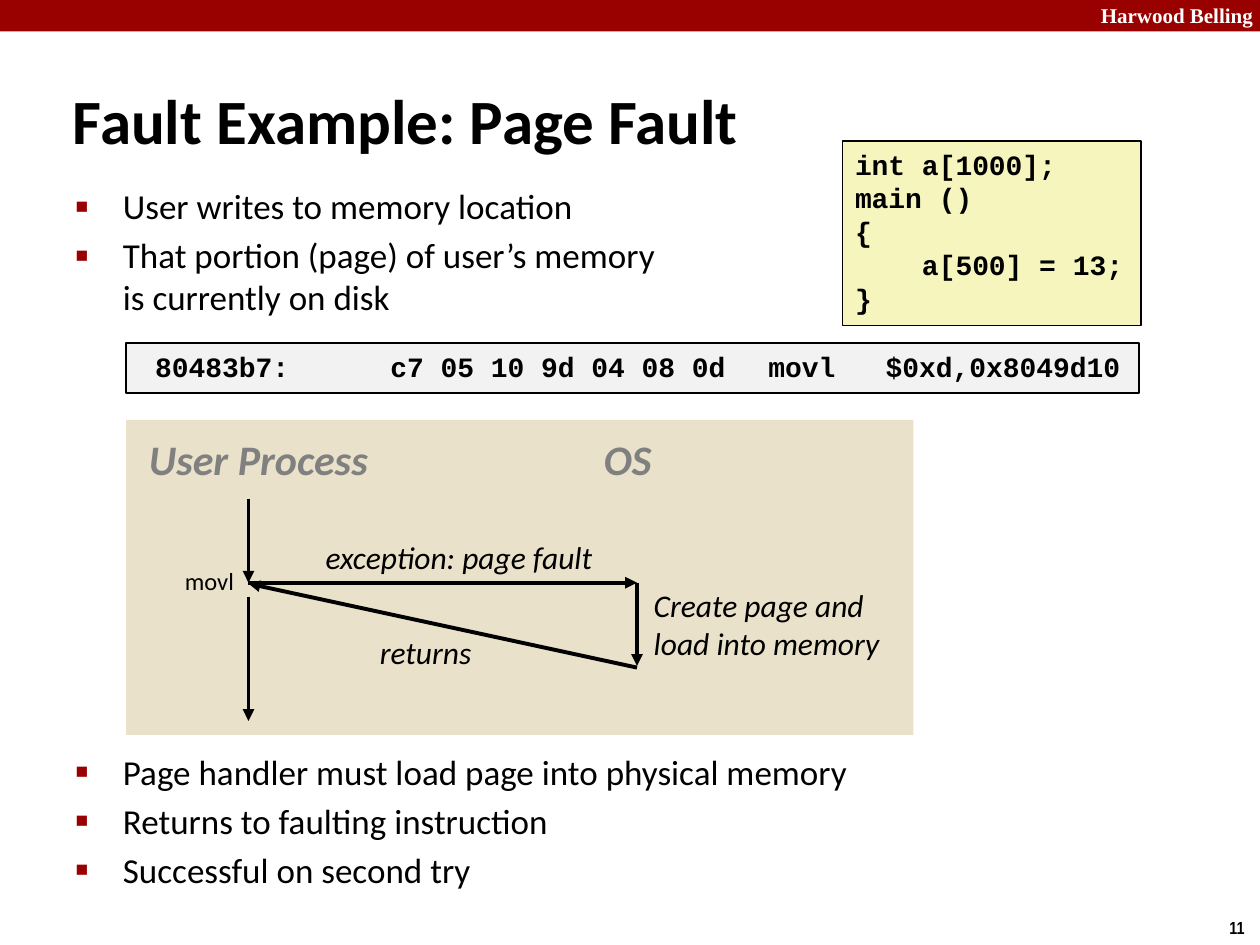
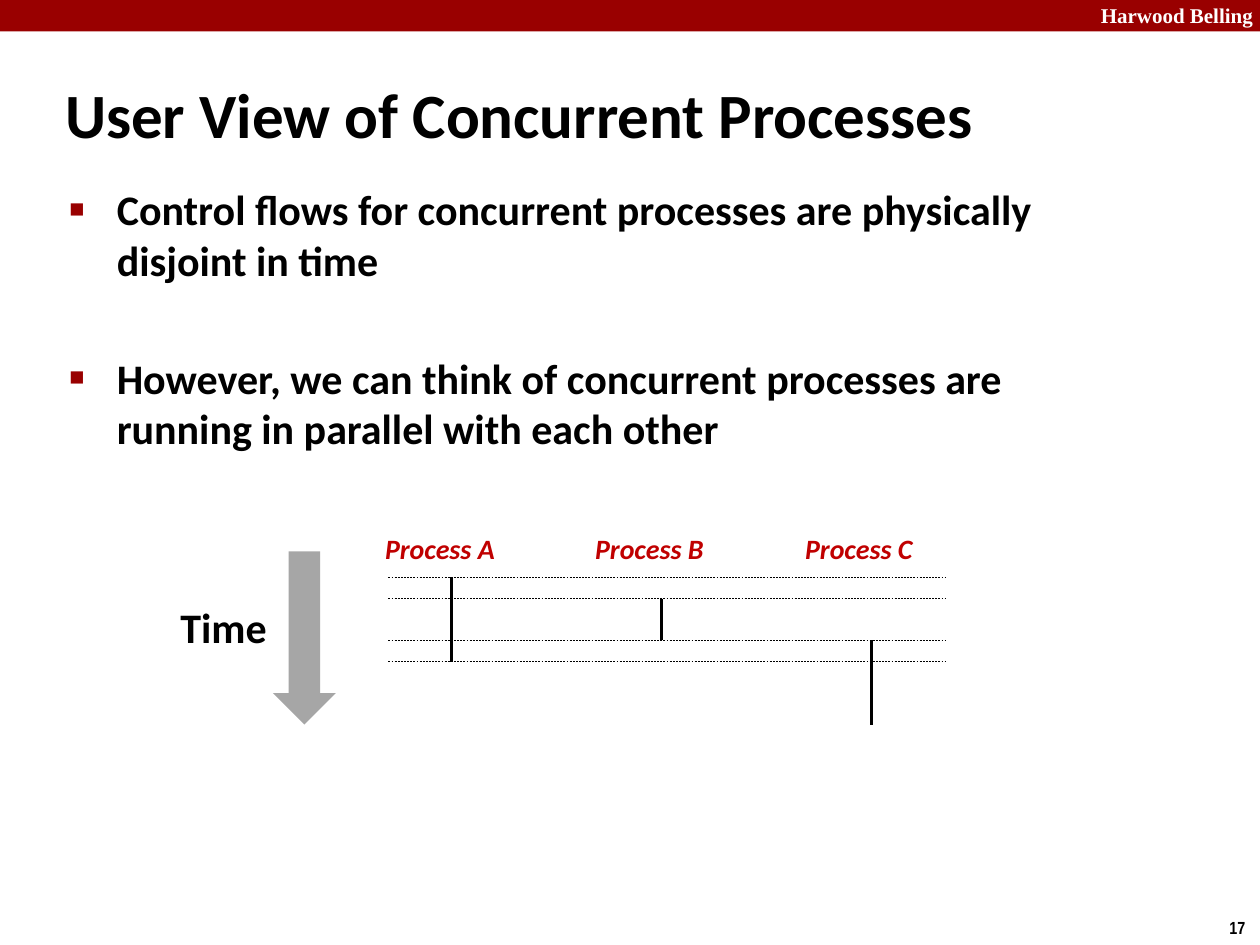
from copy import deepcopy
from itertools import product

from lxml.etree import SubElement
from pptx import Presentation
from pptx.dml.color import RGBColor
from pptx.enum.dml import MSO_LINE
from pptx.enum.shapes import MSO_CONNECTOR, MSO_SHAPE
from pptx.enum.text import MSO_ANCHOR, MSO_AUTO_SIZE, PP_ALIGN
from pptx.oxml.ns import qn
from pptx.util import Pt

COLORS = {
    "black": "000000", "white": "FFFFFF", "band": "990000", "bullet": "990000",
    "panel": "E9E1C9", "code": "F6F5BD", "assembly": "F2F2F2",
    "heading": "808080", "process": "C00000", "time": "A6A6A6",
}
BODY_FONT, CODE_FONT = "Calibri", "Courier New"
SCHOOL = "Harwood Belling"


def rgb(name):
    return RGBColor.from_string(COLORS[name])


# ---- Shared helpers ----
def write(frame, text, size=18, font=BODY_FONT, color="black", bold=False,
          italic=False, wrap=False, anchor=MSO_ANCHOR.TOP):
    """Fill a text frame, one paragraph per line; \\v breaks a line."""
    frame.word_wrap = wrap
    frame.auto_size = MSO_AUTO_SIZE.NONE
    frame.vertical_anchor = anchor
    frame.text = text
    for paragraph in frame.paragraphs:
        paragraph.alignment = PP_ALIGN.LEFT
        for run in paragraph.runs:
            run.font.size, run.font.name = Pt(size), font
            run.font.bold, run.font.italic = bold, italic
            run.font.color.rgb = rgb(color)
        for line_break in paragraph._p.findall(qn("a:br")):
            line_break.append(deepcopy(paragraph.runs[0]._r.rPr))
    return frame


def place(shape, box):
    shape.left, shape.top, shape.width, shape.height = map(Pt, box)


def add_label(slide, box, text, **text_format):
    text_box = slide.shapes.add_textbox(*map(Pt, box))
    return write(text_box.text_frame, text, **text_format)


def add_block(slide, box, fill, outlined=False, kind=MSO_SHAPE.RECTANGLE):
    shape = slide.shapes.add_shape(kind, *map(Pt, box))
    shape.shadow.inherit = False
    shape.fill.solid()
    shape.fill.fore_color.rgb = rgb(fill)
    if outlined:
        shape.line.color.rgb = rgb("black")
        shape.line.width = Pt(1)
    else:
        shape.line.fill.background()
    return shape


def add_line(slide, start, end, width, dash=None, arrow=False):
    line = slide.shapes.add_connector(MSO_CONNECTOR.STRAIGHT, *map(Pt, (*start, *end)))
    line.line.color.rgb = rgb("black")
    line.line.width = Pt(width)
    if dash:
        line.line.dash_style = dash
    if arrow:
        SubElement(line.line._get_or_add_ln(), qn("a:tailEnd"), type="triangle")
    SubElement(line._element.spPr, qn("a:effectLst"))


def indent(paragraph, left, first):
    properties = paragraph._p.get_or_add_pPr()
    properties.set("marL", str(Pt(left)))
    properties.set("indent", str(Pt(first)))
    return properties


def set_tabs(paragraph, positions):
    tab_list = SubElement(paragraph._p.get_or_add_pPr(), qn("a:tabLst"))
    for position in positions:
        SubElement(tab_list, qn("a:tab"), pos=str(Pt(position)), algn="l")


# ---- Slide frame: band, title, bullets, number ----
def add_slide(presentation, number, title, title_box):
    slide = presentation.slides.add_slide(presentation.slide_layouts[1])
    add_block(slide, (0, 0, 720, 18), "band")
    add_label(slide, (622, -2, 103, 21.6), SCHOOL, size=12,
              font="Times New Roman", color="white", bold=True)
    add_label(slide, (695.5, 520.5, 24.5, 19.5), str(number), size=10,
              font="Arial Narrow", bold=True)
    place(slide.shapes.title, title_box)
    frame = write(slide.shapes.title.text_frame, title, size=36, bold=True,
                  wrap=True, anchor=MSO_ANCHOR.MIDDLE)
    indent(frame.paragraphs[0], 9, -9)
    return slide


def add_bullets(slide, box, items, size, bold=False, gaps=None):
    """gaps maps an item's index to a larger space before it."""
    body = slide.placeholders[1]
    place(body, box)
    frame = write(body.text_frame, "\n".join(items), size=size, bold=bold, wrap=True)
    for index, paragraph in enumerate(frame.paragraphs):
        paragraph.space_before = Pt((gaps or {}).get(index, size / 5))
        properties = indent(paragraph, 27, -27)
        bullet_color = SubElement(properties, qn("a:buClr"))
        SubElement(bullet_color, qn("a:srgbClr"), val=COLORS["bullet"])
        SubElement(properties, qn("a:buSzPct"), val="60000")
        SubElement(properties, qn("a:buChar"), char="■")


# ---- Page fault slide ----
def add_code(slide, box, text, fill):
    frame = add_block(slide, box, fill, outlined=True).text_frame
    return write(frame, text, size=16, font=CODE_FONT, bold=True)


def add_fault_diagram(slide, box):
    left, top, _, _ = box
    add_block(slide, box, "panel")

    def label(x, y, width, height, text, **text_format):
        add_label(slide, (left + x, top + y, width, height), text, **text_format)

    # Column headings
    for x, width, heading in ((6, 142, "User Process"), (266, 43, "OS")):
        label(x, 4, width, 36, heading, size=24, color="heading", bold=True, italic=True)

    # Control flow between the two columns
    user, system, fault, done = 70, 292, 93, 141.5
    arrows = (
        ((user, 45), (user, fault)),
        ((user, fault), (system, fault)),
        ((system, fault), (system, done - 1)),
        ((system, done), (user, fault + 0.5)),
        ((user, 101), (user, 172)),
    )
    for start, end in arrows:
        (x1, y1), (x2, y2) = start, end
        add_line(slide, (left + x1, top + y1), (left + x2, top + y2), 2.25, arrow=True)

    # Step labels
    label(107, 64, 168.5, 29, "exception: page fault", italic=True)
    label(294.5, 91.5, 155.5, 50.5, "Create page and\nload into memory", italic=True, wrap=True)
    label(138, 118, 67, 29, "returns", italic=True)
    label(26.5, 80, 43, 24.5, "movl", size=14)


def page_fault_slide(presentation):
    slide = add_slide(presentation, 11, "Fault Example: Page Fault", (34.5, 46, 621.5, 44))
    add_bullets(slide, (36, 102, 642, 246), (
        "User writes to memory location",
        "That portion (page) of user’s memory \vis currently on disk",
        "Page handler must load page into physical memory",
        "Returns to faulting instruction",
        "Successful on second try",
    ), size=20, gaps={2: 247})
    add_code(slide, (481.5, 80.5, 170.5, 105.5),
             "int a[1000];\nmain ()\n{\n    a[500] = 13;\n}", "code")
    assembly = add_code(slide, (72, 196, 579, 28.5),
                        " 80483b7:\tc7 05 10 9d 04 08 0d \tmovl   $0xd,0x8049d10", "assembly")
    set_tabs(assembly.paragraphs[0], (144, 360))
    add_fault_diagram(slide, (72, 240, 450, 180))


# ---- Concurrent processes slide ----
def add_timeline(slide, box):
    left, top, width, _ = box
    column_gap, slot = 120, 24
    # Start of each running slot, by process
    schedule = {"Process A": (0, 24), "Process B": (12,), "Process C": (36, 60)}
    for column, (process, starts) in enumerate(schedule.items()):
        x = left + 36 + column * column_gap
        add_label(slide, (x - 45, top - 30, 78, 26.5), process, size=16,
                  color="process", bold=True, italic=True)
        for start in starts:
            add_line(slide, (x, top + start), (x, top + start + slot), 2)
    # Moments when control switches
    for moment in (0, 12, 36, 48):
        add_line(slide, (left, top + moment), (left + width, top + moment),
                 0.25, dash=MSO_LINE.DASH)
    # Time axis
    add_label(slide, (left - 126, top + 10, 64, 36), "Time", size=24, bold=True)
    add_block(slide, (left - 66, top - 15, 36, 99), "time", kind=MSO_SHAPE.DOWN_ARROW)


def concurrent_slide(presentation):
    slide = add_slide(presentation, 17, "User View of Concurrent Processes", (30, 42, 666, 45))
    add_bullets(slide, (32.5, 101.5, 622, 157), (
        "Control flows for concurrent processes are physically disjoint in time",
        "However, we can think of concurrent processes are running in parallel with each other",
    ), size=24, bold=True, gaps={1: 38.5})
    add_timeline(slide, (222, 330, 318, 84))


def main():
    presentation = Presentation()
    presentation.slide_width, presentation.slide_height = Pt(720), Pt(540)
    page_fault_slide(presentation)
    concurrent_slide(presentation)
    presentation.save("out.pptx")


if __name__ == "__main__":
    main()
